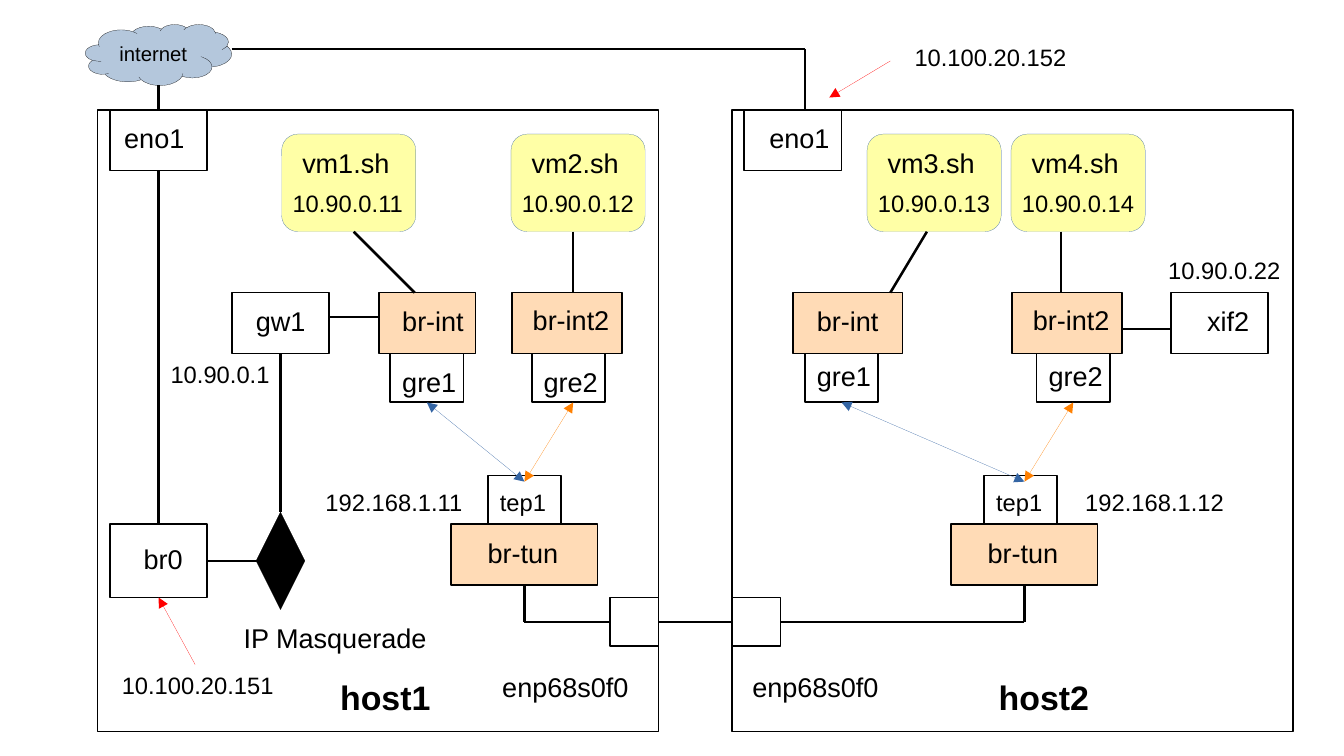
"""Draw a network diagram of two hosts joined by GRE tunnels."""
from lxml import etree
from pptx import Presentation
from pptx.dml.color import RGBColor
from pptx.enum.shapes import MSO_CONNECTOR, MSO_SHAPE
from pptx.enum.text import MSO_ANCHOR, MSO_AUTO_SIZE, PP_ALIGN
from pptx.oxml.ns import qn
from pptx.util import Pt

PX = 9144
HAIR = 0.1
RECT = MSO_SHAPE.RECTANGLE
ROUND = MSO_SHAPE.ROUNDED_RECTANGLE
DIAMOND = MSO_SHAPE.DIAMOND
CLOUD = MSO_SHAPE.CLOUD
STRAIGHT = MSO_CONNECTOR.STRAIGHT
MIDDLE = MSO_ANCHOR.MIDDLE
CENTER = PP_ALIGN.CENTER
FIXED = MSO_AUTO_SIZE.NONE
FONT = "Arial"
COLORS = {
    "white": "FFFFFF", "black": "000000", "sky": "B4C7DC", "peach": "FFDBB6",
    "yellow": "FFFFA6", "blue": "3465A4", "orange": "FF8000", "red": "FF0000",
}
INK = {name: RGBColor.from_string(code) for name, code in COLORS.items()}

prs = Presentation()
prs.slide_width, prs.slide_height = 1102 * PX, 620 * PX
shapes = prs.slides.add_slide(prs.slide_layouts[6]).shapes


def box(x, y, w, h, fill="white", kind=RECT, edge="black", width=1):
    shape = shapes.add_shape(kind, x * PX, y * PX, w * PX, h * PX)
    shape.shadow.inherit = False
    shape.fill.solid()
    shape.fill.fore_color.rgb = INK[fill]
    shape.line.color.rgb = INK[edge]
    shape.line.width = Pt(width)
    return shape


def label(text, x, y, w, size=16, bold=False):
    h = 41 if size == 20 else 35
    frame = shapes.add_textbox(x * PX, y * PX, w * PX, h * PX).text_frame
    frame.auto_size = FIXED
    frame.word_wrap = True
    frame.margin_right = 0
    para = frame.paragraphs[0]
    para.text = text
    para.font.name, para.font.size, para.font.bold = FONT, Pt(size), bold
    para.font.color.rgb = INK["black"]


for name, x, name_x in (("host1", 80, 269), ("host2", 600, 809)):
    box(x, 90, 460, 510)
    label(name, name_x, 550, 111, 20, True)

cloud = box(70, 20, 120, 50, "sky", CLOUD, width=HAIR)
frame = cloud.text_frame
frame.word_wrap = False
frame.vertical_anchor = MIDDLE
para = frame.paragraphs[0]
para.text = "internet"
para.alignment = CENTER
para.font.name, para.font.size = FONT, Pt(12)
para.font.color.rgb = INK["black"]

for i, x in enumerate((231, 419, 711, 829), 1):
    box(x, 110, 110, 80, "yellow", ROUND, "blue", HAIR)
    label(f"vm{i}.sh", x + 7, 115, 91)
    label(f"10.90.0.1{i}", x - 1, 150, 112, 14)

for x, text_x in ((90, 92), (610, 621)):
    box(x, 90, 80, 50)
    label("eno1", text_x, 95, 69)

for name, x, w, text_x, text_y in (
    ("br-int", 311, 79, 320, 245),
    ("br-int2", 420, 90, 427, 244),
    ("br-int", 650, 90, 660, 245),
    ("br-int2", 830, 90, 837, 244),
):
    box(x, 240, w, 50, "peach")
    label(name, text_x, text_y, 83 if name == "br-int2" else 70)

for name, x, text_y in (("gre1", 320, 295), ("gre2", 436, 295),
                        ("gre1", 660, 290), ("gre2", 850, 290)):
    box(x, 290, 60, 40)
    label(name, x, text_y, 64)

for tun, tep in ((370, 400), (780, 807)):
    box(tun, 430, 120, 50, "peach")
    label("br-tun", tun + 20, 435, 78)
    box(tep, 390, 60, 40)
    label("tep1", tep, 395, 70, 14)

for x, text_x in ((500, 402), (600, 607)):
    box(x, 490, 40, 40)
    label("enp68s0f0", text_x, 545, 123)

for name, x, y, h, text_x, text_y, w in (
    ("gw1", 190, 240, 50, 200, 245, 60),
    ("xif2", 960, 240, 50, 980, 245, 60),
    ("br0", 90, 430, 60, 108, 440, 52),
):
    box(x, y, 80, h)
    label(name, text_x, text_y, w)

box(210, 420, 40, 80, "black", DIAMOND, width=HAIR)
label("IP Masquerade", 190, 505, 170)

for text, x, y, w in (
    ("10.90.0.22", 948, 205, 112),
    ("10.90.0.1", 130, 290, 111),
    ("10.100.20.151", 90, 545, 145),
    ("10.100.20.152", 740, 30, 145),
    ("192.168.1.11", 257, 395, 132),
    ("192.168.1.12", 880, 395, 134),
):
    label(text, x, y, w, 14)

wires = [
    (130, 70, 130, 90), (130, 140, 130, 430), (230, 290, 230, 420),
    (311, 260, 271, 260), (290, 190, 340, 240), (230, 460, 170, 460),
    (470, 190, 470, 240), (760, 190, 730, 240), (870, 190, 870, 240),
    (920, 270, 960, 270), (660, 40, 660, 90), (600, 510, 540, 510),
    (430, 480, 430, 510), (500, 510, 430, 510),
    (840, 480, 840, 510), (840, 510, 640, 510),
]
links = [(*wire, "black", 1.5, ()) for wire in wires]
links.append((190, 40, 660, 40, "black", 1, ()))
for ends in ((160, 545, 130, 490), (730, 50, 680, 80)):
    links.append((*ends, "red", HAIR, ("a:tailEnd",)))
for gre, tep, color in ((350, 430, "blue"), (470, 430, "orange"),
                        (690, 840, "blue"), (880, 840, "orange")):
    links.append((gre, 330, tep, 395, color, HAIR, ("a:headEnd", "a:tailEnd")))

for x1, y1, x2, y2, color, width, heads in links:
    link = shapes.add_connector(STRAIGHT, x1 * PX, y1 * PX, x2 * PX, y2 * PX)
    link.line.color.rgb = INK[color]
    link.line.width = Pt(width)
    props = link._element.spPr
    for head in heads:
        etree.SubElement(props.find(qn("a:ln")), qn(head), type="triangle")
    etree.SubElement(props, qn("a:effectLst"))

prs.save("out.pptx")
